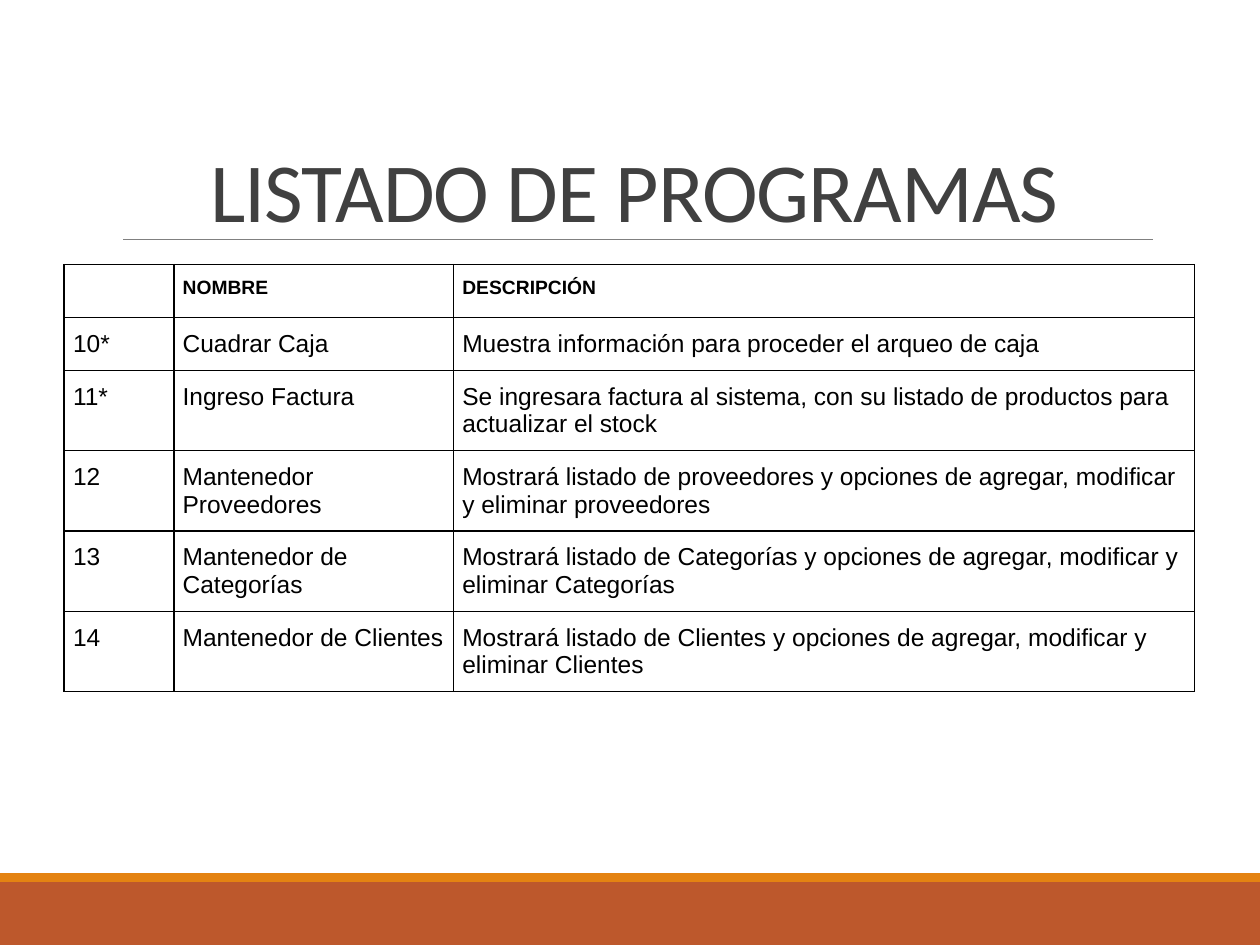
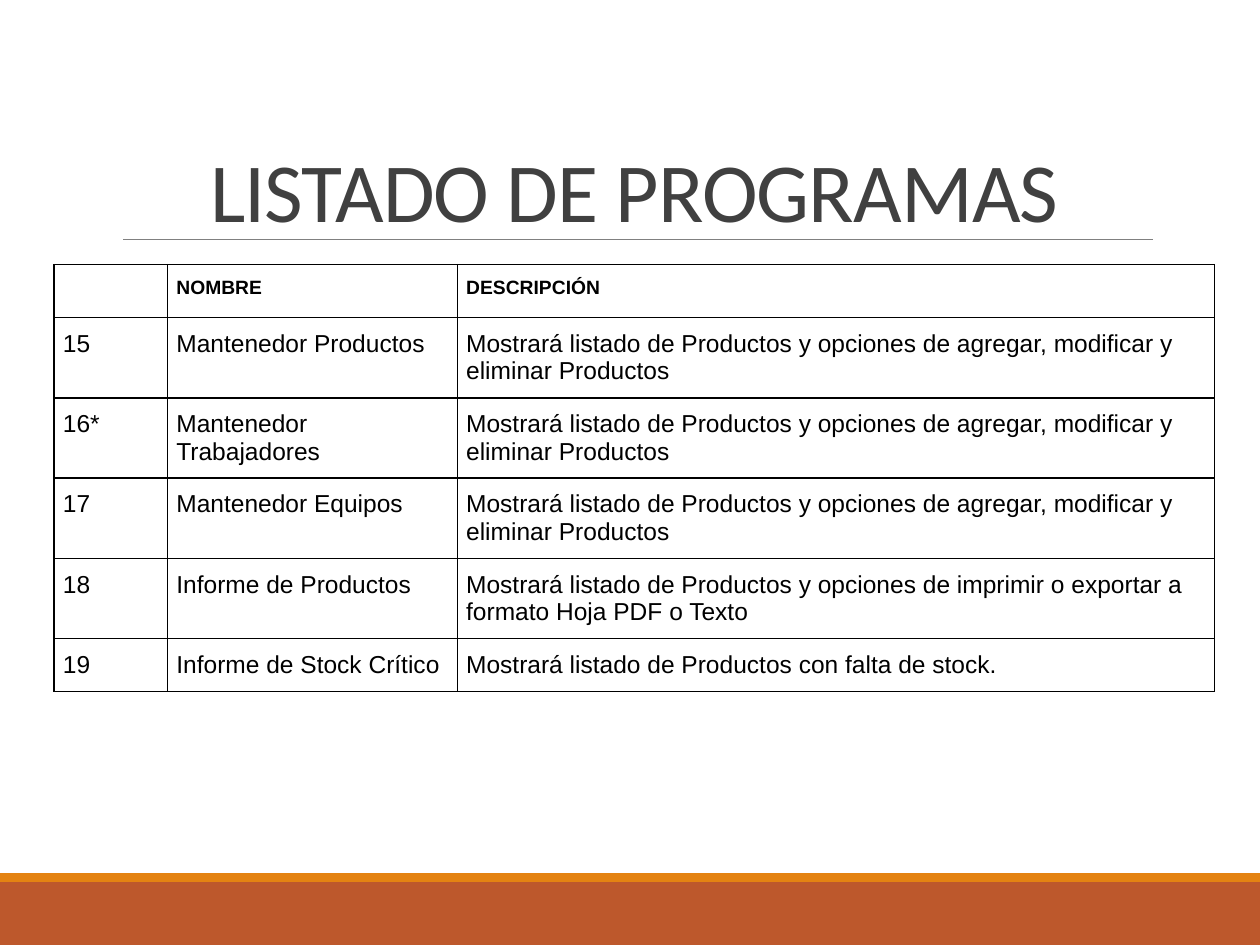
from dataclasses import dataclass

from lxml.etree import SubElement
from pptx import Presentation
from pptx.dml.color import RGBColor
from pptx.enum.shapes import MSO_CONNECTOR, MSO_SHAPE
from pptx.enum.text import MSO_ANCHOR, MSO_AUTO_SIZE, PP_ALIGN
from pptx.oxml.ns import qn
from pptx.slide import Slide
from pptx.table import _Cell
from pptx.util import Inches, Pt

RUST = RGBColor(0xBD, 0x58, 0x2C)
ORANGE = RGBColor(0xE4, 0x83, 0x12)
RULE_GRAY = RGBColor(0x80, 0x80, 0x80)
TITLE_GRAY = RGBColor(0x40, 0x40, 0x40)
BLACK = RGBColor(0, 0, 0)

SLIDE_WIDTH = Inches(10)
SLIDE_HEIGHT = Inches(7.5)
TITLE = "LISTADO DE PROGRAMAS"
HEADINGS = ("", "NOMBRE", "DESCRIPCIÓN")
TABLE_TOP = Inches(2.1)
SINGLE_ROW = Inches(0.42)
DOUBLE_ROW = Inches(0.63)
TITLE_ONLY = 5


@dataclass(frozen=True)
class Band:
    top: float
    height: float
    color: RGBColor


@dataclass(frozen=True)
class Program:
    number: str
    name: str
    description: str
    lines: int = 2


@dataclass(frozen=True)
class Listing:
    left: float
    columns: tuple[float, float, float]
    programs: tuple[Program, ...]


BANDS = (Band(7, 0.5, RUST), Band(6.93, 0.07, ORANGE))


def maintenance(items: str) -> str:
    return f"Mostrará listado de {items} y opciones de agregar, modificar y eliminar {items}"


LISTINGS = (
    Listing(0.51, (0.87, 2.22, 5.88), (
        Program("10*", "Cuadrar Caja", "Muestra información para proceder el arqueo de caja", 1),
        Program("11*", "Ingreso Factura",
                "Se ingresara factura al sistema, con su listado de productos para actualizar el stock"),
        Program("12", "Mantenedor Proveedores", maintenance("proveedores")),
        Program("13", "Mantenedor de Categorías", maintenance("Categorías")),
        Program("14", "Mantenedor de Clientes", maintenance("Clientes")),
    )),
    Listing(0.43, (0.9, 2.3, 6.01), (
        Program("15", "Mantenedor Productos", maintenance("Productos")),
        Program("16*", "Mantenedor Trabajadores", maintenance("Productos")),
        Program("17", "Mantenedor Equipos", maintenance("Productos")),
        Program("18", "Informe de Productos",
                "Mostrará listado de Productos y opciones de imprimir o exportar a formato Hoja PDF o Texto"),
        Program("19", "Informe de Stock Crítico", "Mostrará listado de Productos con falta de stock.", 1),
    )),
)


def draw_frame(slide: Slide) -> None:
    for band in BANDS:
        stripe = slide.shapes.add_shape(
            MSO_SHAPE.RECTANGLE, 0, Inches(band.top), SLIDE_WIDTH, Inches(band.height))
        stripe.shadow.inherit = False
        stripe.fill.solid()
        stripe.fill.fore_color.rgb = band.color
        stripe.line.fill.background()
    rule = slide.shapes.add_connector(
        MSO_CONNECTOR.STRAIGHT, Inches(0.98), Inches(1.9), Inches(9.15), Inches(1.9))
    rule.line.color.rgb = RULE_GRAY
    rule.line.width = Pt(0.5)
    SubElement(rule._element.spPr, qn("a:effectLst"))


def write_title(slide: Slide) -> None:
    title = slide.shapes.title
    title.left, title.top = Inches(0.91), Inches(0.36)
    title.width, title.height = Inches(8.25), Inches(1.59)
    frame = title.text_frame
    frame.auto_size = MSO_AUTO_SIZE.NONE
    frame.word_wrap = True
    frame.vertical_anchor = MSO_ANCHOR.BOTTOM
    heading = frame.paragraphs[0]
    heading.alignment = PP_ALIGN.CENTER
    heading.line_spacing = 0.85
    run = heading.add_run()
    run.text = TITLE
    run.font.name = "Calibri"
    run.font.size = Pt(48)
    run.font.color.rgb = TITLE_GRAY
    run.font._element.set("spc", "-50")


def outline_cell(cell: _Cell) -> None:
    properties = cell._tc.get_or_add_tcPr()
    for side in ("a:lnL", "a:lnR", "a:lnT", "a:lnB"):
        border = SubElement(properties, qn(side), w=str(Pt(1)))
        fill = SubElement(border, qn("a:solidFill"))
        SubElement(fill, qn("a:srgbClr"), val=str(BLACK))
    cell.fill.background()


def write_cell(cell: _Cell, text: str, is_heading: bool) -> None:
    outline_cell(cell)
    if not text:
        return
    cell.margin_left = cell.margin_right = Inches(0.07)
    cell.margin_top = cell.margin_bottom = Inches(0.1)
    run = cell.text_frame.paragraphs[0].add_run()
    run.text = text
    run.font.name = "Arial"
    run.font.size = Pt(11 if is_heading else 14)
    run.font.bold = is_heading
    run.font.color.rgb = BLACK


def draw_listing(slide: Slide, listing: Listing) -> None:
    rows = [HEADINGS] + [(p.number, p.name, p.description) for p in listing.programs]
    heights = [SINGLE_ROW] + [SINGLE_ROW if p.lines == 1 else DOUBLE_ROW for p in listing.programs]
    table = slide.shapes.add_table(
        len(rows), len(HEADINGS), Inches(listing.left), TABLE_TOP,
        Inches(sum(listing.columns)), sum(heights)).table
    table.first_row = table.horz_banding = False
    for column, width in zip(table.columns, listing.columns):
        column.width = Inches(width)
    for index, (row, height, texts) in enumerate(zip(table.rows, heights, rows)):
        row.height = height
        for cell, text in zip(row.cells, texts):
            write_cell(cell, text, index == 0)


def main() -> None:
    deck = Presentation()
    deck.slide_width, deck.slide_height = SLIDE_WIDTH, SLIDE_HEIGHT
    for listing in LISTINGS:
        slide = deck.slides.add_slide(deck.slide_layouts[TITLE_ONLY])
        draw_frame(slide)
        draw_listing(slide, listing)
        write_title(slide)
    deck.save("out.pptx")


if __name__ == "__main__":
    main()
